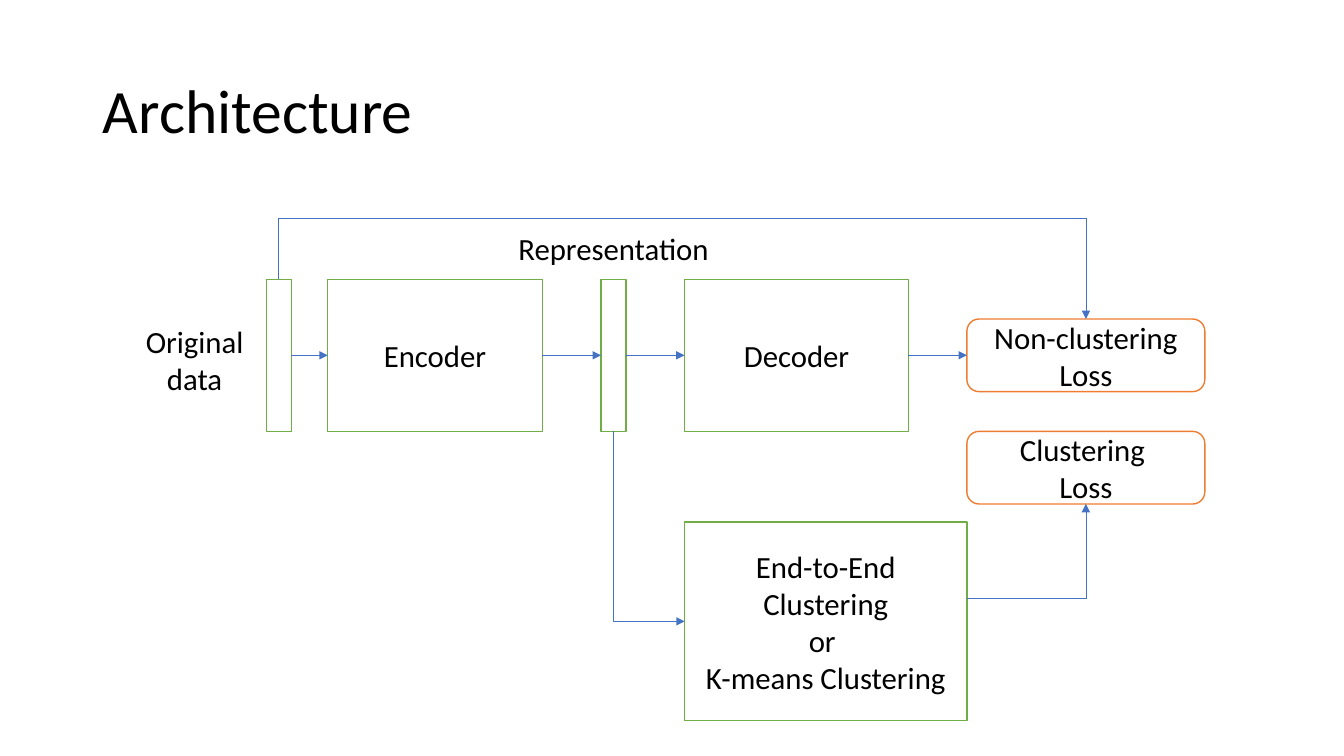
from lxml.etree import SubElement
from pptx import Presentation
from pptx.dml.color import RGBColor
from pptx.enum.shapes import MSO_CONNECTOR as Link, MSO_SHAPE as Shape
from pptx.enum.text import MSO_ANCHOR as Anchor, MSO_AUTO_SIZE as Fit, PP_ALIGN as Align
from pptx.oxml.ns import qn
from pptx.util import Inches, Pt

WHITE = RGBColor(0xFF, 0xFF, 0xFF)
BLACK = RGBColor(0, 0, 0)
GREEN = RGBColor(0x70, 0xAD, 0x47)
ORANGE = RGBColor(0xED, 0x7D, 0x31)
BLUE = RGBColor(0x44, 0x72, 0xC4)

TITLE = "Architecture"
ROW_TOP, ROW_HEIGHT = 2.77, 1.51
BAR_WIDTH = 0.25
DECODER_LEFT, LOSS_LEFT = 6.79, 9.59
LOSS_WIDTH, LOSS_HEIGHT = 2.36, 0.72
MIDDLE = ROW_TOP + ROW_HEIGHT / 2
ROW_BOTTOM = ROW_TOP + ROW_HEIGHT

BOXES = {
    "encoder": ("Encoder", Shape.RECTANGLE, GREEN, (3.25, ROW_TOP, 2.13, ROW_HEIGHT)),
    "decoder": ("Decoder", Shape.RECTANGLE, GREEN, (DECODER_LEFT, ROW_TOP, 2.22, ROW_HEIGHT)),
    "code": ("", Shape.RECTANGLE, GREEN, (5.96, ROW_TOP, BAR_WIDTH, ROW_HEIGHT)),
    "data": ("", Shape.RECTANGLE, GREEN, (2.64, ROW_TOP, BAR_WIDTH, ROW_HEIGHT)),
    "clustering": ("End-to-End Clustering\nor \nK-means Clustering", Shape.RECTANGLE, GREEN,
                   (DECODER_LEFT, 5.18, LOSS_LEFT - DECODER_LEFT, 1.97)),
    "other loss": ("Non-clustering Loss", Shape.ROUNDED_RECTANGLE, ORANGE,
                   (LOSS_LEFT, MIDDLE - LOSS_HEIGHT / 2, LOSS_WIDTH, LOSS_HEIGHT)),
    "cluster loss": ("Clustering \nLoss", Shape.ROUNDED_RECTANGLE, ORANGE,
                     (LOSS_LEFT, ROW_BOTTOM, LOSS_WIDTH, LOSS_HEIGHT)),
}
LABELS = [
    ("Original\ndata", (1.34, 3.15, 1.18, 0.84)),
    ("Representation", (5.03, 2.23, 2.11, 0.47)),
]
FLOW = ["data", "encoder", "code", "decoder", "other loss"]


def write(frame, text, size=22, align=Align.CENTER, anchor=Anchor.MIDDLE, wrap=True,
          fit=Fit.NONE, spacing=None):
    frame.text = text
    frame.word_wrap = wrap
    frame.auto_size = fit
    frame.vertical_anchor = anchor
    for para in frame.paragraphs:
        para.alignment = align
        para.line_spacing = spacing
        for span in para.runs:
            span.font.size = Pt(size)
            span.font.name = "Calibri"
            span.font.color.rgb = BLACK


def edge(name, side):
    left, top, width, height = BOXES[name][-1]
    across, down = {"left": (0, 0.5), "right": (1, 0.5), "top": (0.5, 0), "bottom": (0.5, 1)}[side]
    return left + across * width, top + down * height


def add_arrow(slide, start, end, preset=None, turned=False, bend=None):
    (x1, y1), (x2, y2) = start, end
    if turned:
        mid_x, mid_y = (x1 + x2) / 2, (y1 + y2) / 2
        half_width, half_height = abs(y2 - y1) / 2, abs(x2 - x1) / 2
        x1, x2 = mid_x + half_width, mid_x - half_width
        y1, y2 = mid_y - half_height, mid_y + half_height
    arrow = slide.shapes.add_connector(Link.ELBOW if preset else Link.STRAIGHT,
                                       *map(Inches, (x1, y1, x2, y2)))
    arrow.line.color.rgb = BLUE
    arrow.line.width = Pt(0.5)
    properties = arrow._element.spPr
    SubElement(properties.find(qn("a:ln")), qn("a:tailEnd"), type="triangle")
    SubElement(properties, qn("a:effectLst"))
    if turned:
        properties.find(qn("a:xfrm")).set("rot", str(270 * 60000))
    if preset:
        geometry = properties.find(qn("a:prstGeom"))
        geometry.set("prst", preset)
        if bend is not None:
            guides = geometry.find(qn("a:avLst"))
            SubElement(guides, qn("a:gd"), name="adj1", fmla=f"val {round(bend * 100000)}")


def main():
    deck = Presentation()
    deck.slide_width, deck.slide_height = Inches(13.33), Inches(7.5)
    slide = deck.slides.add_slide(deck.slide_layouts[5])

    title = slide.shapes.title
    title.left, title.top, title.width, title.height = map(Inches, (0.92, 0.4, 11.5, 1.45))
    write(title.text_frame, TITLE, size=44, align=Align.LEFT, spacing=0.9)

    for text, kind, color, place in BOXES.values():
        box = slide.shapes.add_shape(kind, *map(Inches, place))
        box.shadow.inherit = False
        box.fill.solid()
        box.fill.fore_color.rgb = WHITE
        box.line.color.rgb = color
        box.line.width = Pt(1)
        if text:
            write(box.text_frame, text)

    for text, place in LABELS:
        label = slide.shapes.add_textbox(*map(Inches, place))
        write(label.text_frame, text, anchor=Anchor.TOP, wrap=False, fit=Fit.SHAPE_TO_FIT_TEXT)

    for source, target in zip(FLOW, FLOW[1:]):
        add_arrow(slide, edge(source, "right"), edge(target, "left"))
    add_arrow(slide, edge("code", "bottom"), edge("clustering", "left"),
              preset="bentConnector2", turned=True)
    add_arrow(slide, edge("data", "top"), edge("other loss", "top"),
              preset="bentConnector3", turned=True, bend=-1.54)
    add_arrow(slide, (LOSS_LEFT, 5.94), edge("cluster loss", "bottom"), preset="bentConnector2")

    deck.save("out.pptx")


if __name__ == "__main__":
    main()
